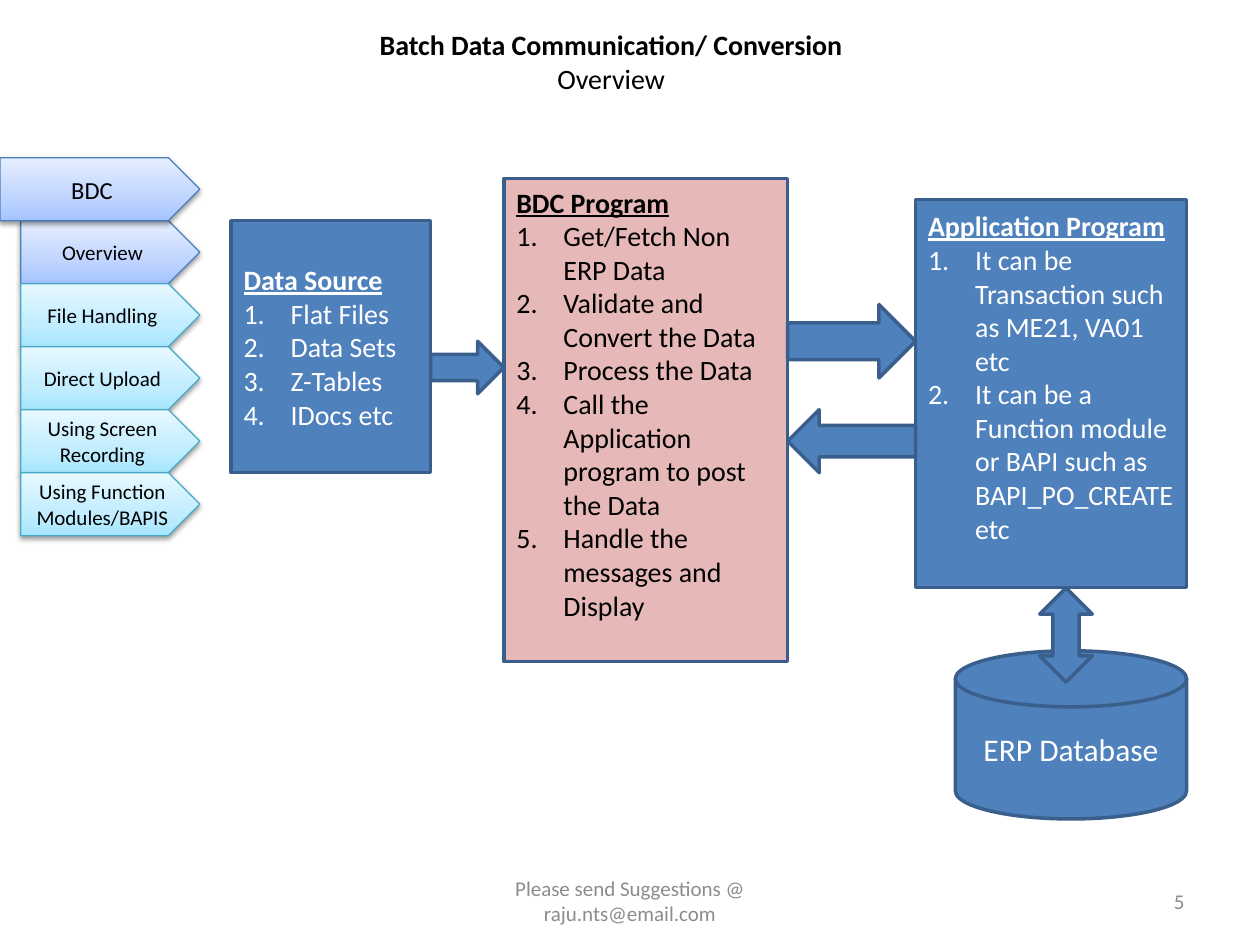
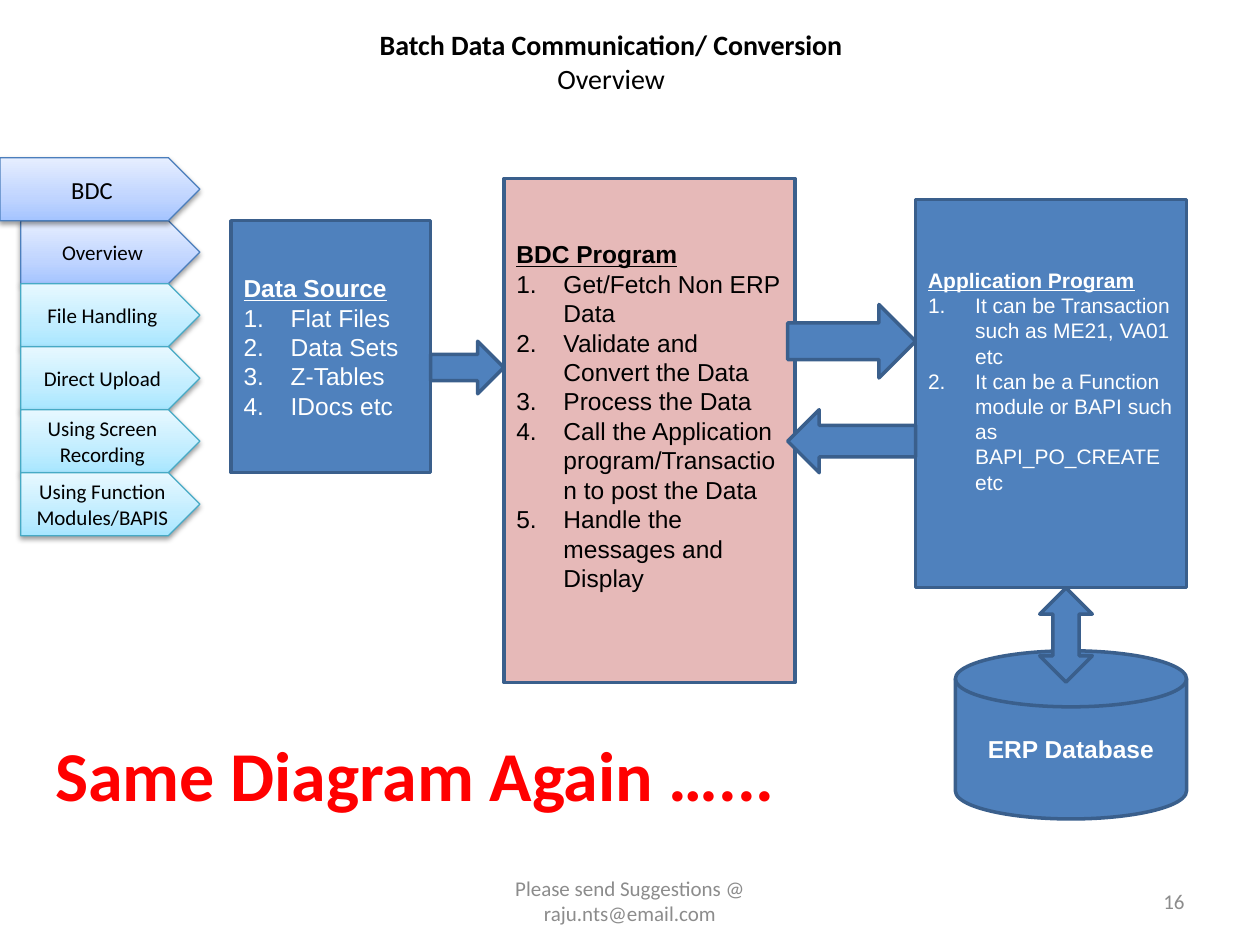
from dataclasses import dataclass

from lxml import etree
from pptx import Presentation
from pptx.dml.color import RGBColor
from pptx.enum.shapes import MSO_SHAPE
from pptx.enum.text import MSO_ANCHOR, MSO_AUTO_SIZE, PP_ALIGN
from pptx.oxml.ns import qn
from pptx.util import Cm, Pt

RECT, PENTAGON = MSO_SHAPE.RECTANGLE, MSO_SHAPE.PENTAGON
DISK = MSO_SHAPE.FLOWCHART_MAGNETIC_DISK
RIGHT, LEFT = MSO_SHAPE.RIGHT_ARROW, MSO_SHAPE.LEFT_ARROW
UP_DOWN = MSO_SHAPE.UP_DOWN_ARROW
TOP, MIDDLE = MSO_ANCHOR.TOP, MSO_ANCHOR.MIDDLE
AL_LEFT, AL_CENTER, AL_RIGHT = PP_ALIGN.LEFT, PP_ALIGN.CENTER, PP_ALIGN.RIGHT
NO_AUTOFIT = MSO_AUTO_SIZE.NONE
TITLE_ONLY = 5

BLACK, WHITE, RED, GREY = "000000", "FFFFFF", "FF0000", "8C8C8C"
BLUE, PINK, OUTLINE = "4F81BD", "E6B9B8", "3A5F8C"


@dataclass(frozen=True)
class Box:
    left: float
    top: float
    width: float
    height: float

    def lengths(self) -> tuple:
        return Cm(self.left), Cm(self.top), Cm(self.width), Cm(self.height)


@dataclass(frozen=True)
class TabStyle:
    stops: tuple
    line: str


@dataclass(frozen=True)
class ListBox:
    box: Box
    heading: str
    items: tuple
    size: int
    fill: str = BLUE
    color: str = WHITE
    spare_line: bool = True  # keeps one line free below the list


@dataclass(frozen=True)
class Page:
    number: str
    font: str
    lists: tuple
    database_format: dict
    callout: str = ""


# Shared geometry (cm) and wording
TITLE_BOX = Box(7.19, 0.43, 10.26, 1.63)
FOOTER_BOX = Box(8.68, 17.65, 8.04, 1.02)
NUMBER_BOX = Box(18.2, 17.65, 5.93, 1.02)
SOURCE_BOX = Box(4.66, 4.45, 4.02, 5.08)
APPLICATION_BOX = Box(18.46, 4.02, 5.46, 7.83)
DATABASE_BOX = Box(19.26, 13.12, 4.66, 3.39)
CALLOUT_BOX = Box(0.86, 14.63, 15.19, 1.96)
ARROWS = (
    (UP_DOWN, Box(20.96, 11.85, 1.06, 1.9)),
    (RIGHT, Box(15.88, 6.14, 2.58, 1.48)),
    (LEFT, Box(15.88, 8.26, 2.58, 1.27)),
    (RIGHT, Box(8.68, 6.88, 1.48, 1.06)),
)
TITLE = ("Batch Data Communication/ Conversion", "Overview")
FOOTER = "Please send Suggestions @ raju.nts@email.com"

# Navigation tabs
ACTIVE = TabStyle(((0, "A4C4FF"), (35, "BFD4FF"), (100, "E6EEFF")), "4B7EBC")
IDLE = TabStyle(((0, "A7E6FF"), (35, "C1EDFF"), (100, "E7F8FF")), "46AAC5")
TAB_TOP, TAB_HEIGHT, TAB_RIGHT, TAB_INDENT = 3.18, 1.27, 4.03, 0.42
TABS = ("Overview", "File Handling", "Direct Upload",
        "Using Screen Recording", "Using Function Modules/BAPIS")

# List wording
SOURCES = ("Flat Files", "Data Sets", "Z-Tables", "IDocs etc")
APPLICATIONS = (
    "It can be Transaction such as ME21, VA01 etc",
    "It can be a Function module or BAPI such as BAPI_PO_CREATE etc",
)


def program_steps(target: str) -> tuple:
    return ("Get/Fetch Non ERP Data", "Validate and Convert the Data",
            "Process the Data", f"Call the Application {target} to post the Data",
            "Handle the messages and Display")


def diagram_lists(program: Box, target: str, size: int, application_size: int) -> tuple:
    return (
        ListBox(program, "BDC Program", program_steps(target), size, PINK, BLACK),
        ListBox(APPLICATION_BOX, "Application Program", APPLICATIONS, application_size),
        ListBox(SOURCE_BOX, "Data Source", SOURCES, size, spare_line=False),
    )


PAGES = (
    Page("5", "Calibri",
         diagram_lists(Box(10.16, 3.6, 5.72, 9.74), "program", 16, 16),
         {"size": Pt(18)}),
    Page("16", "Arial",
         diagram_lists(Box(10.16, 3.6, 5.87, 10.16), "program/Transaction", 14, 12),
         {"size": Pt(14), "bold": True},
         "Same Diagram Again …..."),
)


# Formatting helpers
def rgb(color: str) -> RGBColor:
    return RGBColor.from_string(color)


def set_all(target, values: dict) -> None:
    for name, value in values.items():
        setattr(target, name, value)


def write(p, text: str, color: str, align=AL_CENTER, **font):
    p.alignment = align
    r = p.add_run()
    r.text = text
    r.font.color.rgb = rgb(color)
    set_all(r.font, {"name": "Calibri", "size": Pt(12), **font})
    return r


def add_shadow(effects, blur: float, distance: float, angle: int, alpha: int) -> None:
    shadow = etree.SubElement(
        effects, qn("a:outerShdw"), blurRad=str(Pt(blur)), dist=str(Pt(distance)),
        dir=str(angle * 60000), algn="ctr", rotWithShape="0")
    color = etree.SubElement(shadow, qn("a:srgbClr"), val=BLACK)
    etree.SubElement(color, qn("a:alpha"), val=str(alpha * 1000))


def number_paragraph(p) -> None:
    pPr = p._p.get_or_add_pPr()
    pPr.set("marL", str(Cm(0.95)))
    pPr.set("indent", str(Cm(-0.95)))
    etree.SubElement(pPr, qn("a:buFont"), typeface="+mj-lt")
    etree.SubElement(pPr, qn("a:buAutoNum"), type="arabicPeriod")


def set_gradient(sp, stops: tuple) -> None:
    sp.fill.gradient()
    sp.fill.gradient_angle = 90
    stop_list = sp._element.spPr.find(qn("a:gradFill")).find(qn("a:gsLst"))
    for old in list(stop_list):
        stop_list.remove(old)
    for position, color in stops:
        stop = etree.SubElement(stop_list, qn("a:gs"), pos=str(position * 1000))
        etree.SubElement(stop, qn("a:srgbClr"), val=color)


# Drawing functions
def add_block(slide, kind, box: Box, fill: str = BLUE, line: str = OUTLINE,
              weight: float = 2):
    sp = slide.shapes.add_shape(kind, *box.lengths())
    sp.shadow.inherit = False
    sp.fill.solid()
    sp.fill.fore_color.rgb = rgb(fill)
    sp.line.color.rgb = rgb(line)
    sp.line.width = Pt(weight)
    set_all(sp.text_frame, {"word_wrap": True, "vertical_anchor": MIDDLE})
    return sp


def add_text(slide, box: Box, text: str, color: str, align, wrap: bool = True,
             anchor=MIDDLE, **font):
    tf = slide.shapes.add_textbox(*box.lengths()).text_frame
    set_all(tf, {"word_wrap": wrap, "vertical_anchor": anchor})
    return write(tf.paragraphs[0], text, color, align, **font)


def add_title(slide) -> None:
    sp = slide.shapes.title
    sp.left, sp.top, sp.width, sp.height = TITLE_BOX.lengths()
    tf = sp.text_frame
    set_all(tf, {"word_wrap": False, "auto_size": NO_AUTOFIT, "vertical_anchor": TOP})
    write(tf.paragraphs[0], TITLE[0], BLACK, size=Pt(16), bold=True)
    write(tf.add_paragraph(), TITLE[1], BLACK, size=Pt(16), bold=False)


def add_tab(slide, text: str, row: int, indent: float, style: TabStyle, size: int) -> None:
    box = Box(indent, TAB_TOP + row * TAB_HEIGHT, TAB_RIGHT - indent, TAB_HEIGHT)
    sp = add_block(slide, PENTAGON, box, line=style.line, weight=0.75)
    set_gradient(sp, style.stops)
    add_shadow(sp._element.spPr.find(qn("a:effectLst")), 3.1, 1.6, 90, 38)
    write(sp.text_frame.paragraphs[0], text, BLACK, size=Pt(size))


def add_navigation(slide) -> None:
    for row, text in enumerate(TABS, start=1):
        add_tab(slide, text, row, TAB_INDENT, ACTIVE if row == 1 else IDLE, 12)
    add_tab(slide, "BDC", 0, 0, ACTIVE, 14)


def add_list(slide, spec: ListBox, font: str) -> None:
    tf = add_block(slide, RECT, spec.box, spec.fill).text_frame
    if spec.spare_line:
        tf.margin_bottom = Cm(0.13 + 0.042 * spec.size)
    style = {"name": font, "size": Pt(spec.size)}
    write(tf.paragraphs[0], spec.heading, spec.color, AL_LEFT,
          bold=True, underline=True, **style)
    for item in spec.items:
        p = tf.add_paragraph()
        write(p, item, spec.color, AL_LEFT, **style)
        number_paragraph(p)


def add_callout(slide, text: str) -> None:
    r = add_text(slide, CALLOUT_BOX, text, RED, AL_LEFT, wrap=False, anchor=TOP,
                 size=Pt(40), bold=True)
    effects = etree.Element(qn("a:effectLst"))
    r.font._element.find(qn("a:solidFill")).addnext(effects)
    add_shadow(effects, 4, 3, 45, 40)


def build_page(prs, page: Page) -> None:
    slide = prs.slides.add_slide(prs.slide_layouts[TITLE_ONLY])
    add_title(slide)
    add_navigation(slide)
    # Diagram
    for spec in page.lists:
        add_list(slide, spec, page.font)
    database = add_block(slide, DISK, DATABASE_BOX)
    write(database.text_frame.paragraphs[0], "ERP Database", WHITE,
          name=page.font, **page.database_format)
    for kind, box in ARROWS:
        add_block(slide, kind, box)
    if page.callout:
        add_callout(slide, page.callout)
    # Footer
    add_text(slide, FOOTER_BOX, FOOTER, GREY, AL_CENTER)
    add_text(slide, NUMBER_BOX, page.number, GREY, AL_RIGHT)


def main() -> None:
    prs = Presentation()
    prs.slide_width, prs.slide_height = Cm(25.4), Cm(19.05)
    for page in PAGES:
        build_page(prs, page)
    prs.save("out.pptx")


if __name__ == "__main__":
    main()
